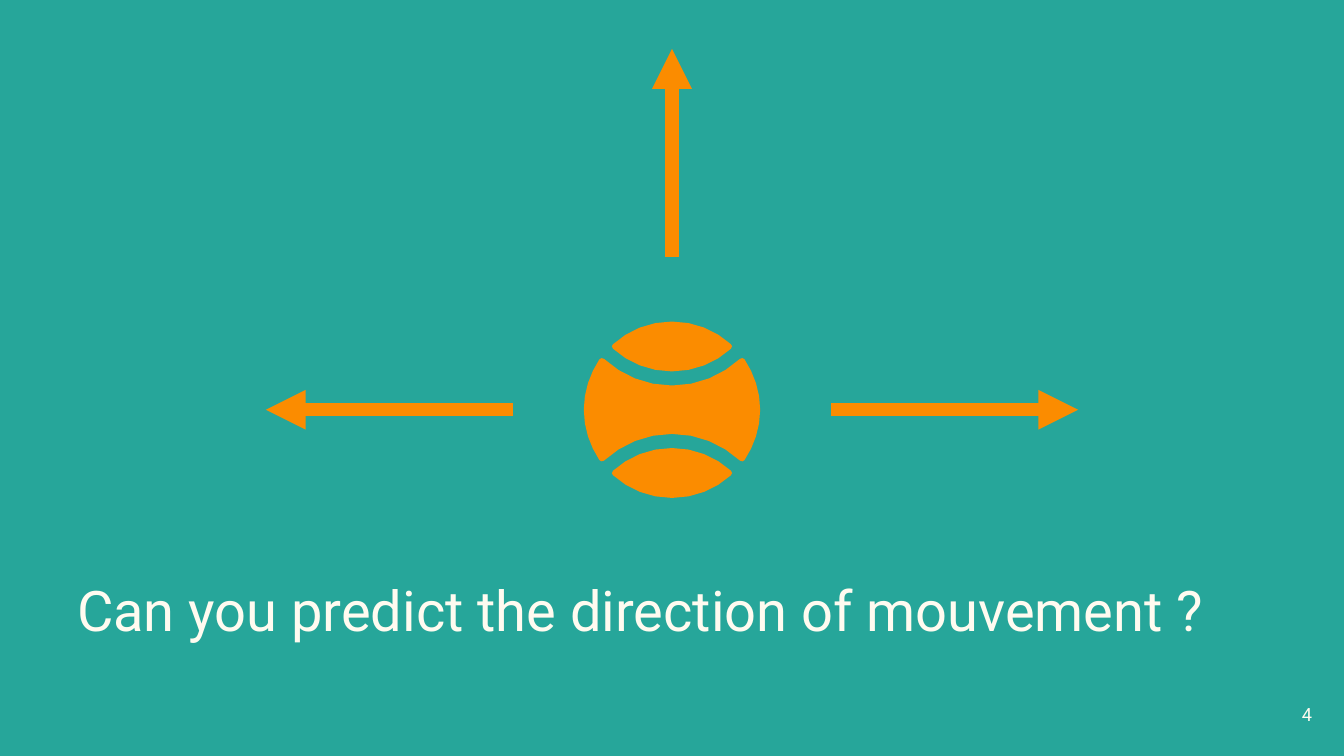
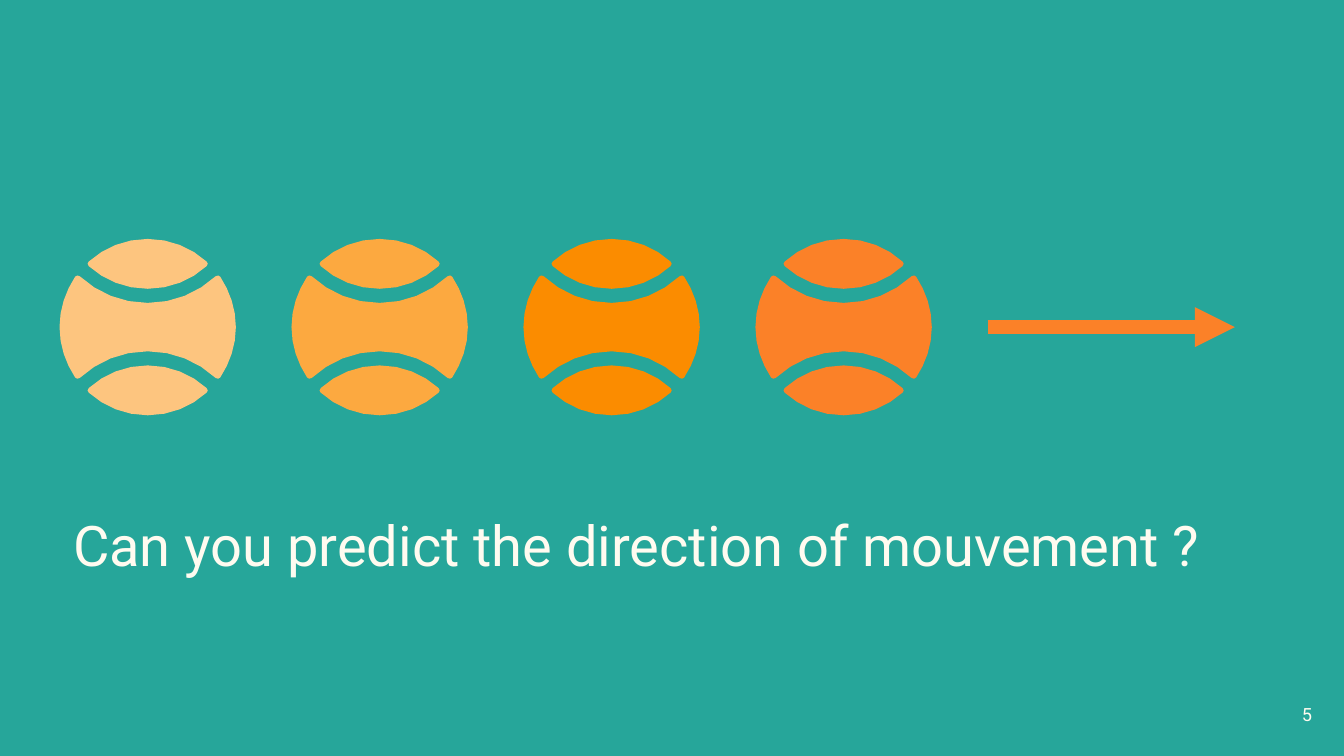
from dataclasses import dataclass
from math import dist

from lxml import etree
from pptx import Presentation
from pptx.dml.color import RGBColor
from pptx.enum.shapes import MSO_CONNECTOR
from pptx.enum.text import MSO_ANCHOR, MSO_AUTO_SIZE, PP_ALIGN
from pptx.oxml.ns import qn
from pptx.util import Inches, Pt

STRAIGHT = MSO_CONNECTOR.STRAIGHT
MIDDLE = MSO_ANCHOR.MIDDLE
NO_AUTOFIT = MSO_AUTO_SIZE.NONE
LEFT, RIGHT = PP_ALIGN.LEFT, PP_ALIGN.RIGHT


@dataclass(frozen=True)
class Theme:
    font: str = "Roboto"
    background: str = "26A69A"
    text: str = "FFFBF0"
    orange: str = "FB8C00"
    deep_orange: str = "FB8128"
    light_orange: str = "FCA940"
    pale_orange: str = "FDC57F"
    title_size: int = 80
    number_size: int = 26
    arrow_width: int = 19
    inset: float = 0.27


THEME = Theme()
SLIDE_WIDTH, SLIDE_HEIGHT = Inches(26.67), Inches(15)
TITLE_ONLY = 5
QUESTION = "Can you predict the direction of mouvement ?"
ARROW_LENGTH = 18.39
ARC_STEPS, CORNER_STEPS = 4, 2
CORNER_LIMIT = 0.2

# Ball outline in inches from its centre: a start point, then cubic curves.
CAP_START = (0, -1.75)
CAP_HALF = [
    ((-0.45, -1.75), (-0.86, -1.58), (-1.17, -1.3)),
    ((-1.2, -1.28), (-1.2, -1.24), (-1.17, -1.21)),
    ((-0.86, -0.93), (-0.45, -0.76), (0, -0.76)),
]
BAND_START = (0, -0.48)
BAND_QUARTER = [
    ((-0.52, -0.48), (-0.99, -0.68), (-1.35, -1.01)),
    ((-1.38, -1.03), (-1.42, -1.03), (-1.44, -1)),
    ((-1.63, -0.71), (-1.75, -0.37), (-1.75, 0)),
]


def across(percent):
    return round(SLIDE_WIDTH * percent / 100)


def down(percent):
    return round(SLIDE_HEIGHT * percent / 100)


def color(code):
    return RGBColor.from_string(code)


def flatten(start, curves):
    """Turn a chain of cubic curves into a short list of points."""
    points = [start]
    for first, second, end in curves:
        steps = CORNER_STEPS if dist(start, end) < CORNER_LIMIT else ARC_STEPS
        for step in range(1, steps + 1):
            t = step / steps
            u = 1 - t
            weights = (u ** 3, 3 * u * u * t, 3 * u * t * t, t ** 3)
            corners = (start, first, second, end)
            points.append(tuple(sum(weight * corner[axis]
                                    for weight, corner in zip(weights, corners))
                                for axis in (0, 1)))
        start = end
    return points


def flip(points, x_sign, y_sign):
    return [(x_sign * x, y_sign * y) for x, y in points]


def mirrored(points, x_sign, y_sign):
    """Extend an outline with its own reflection, walked backwards."""
    return points + flip(points, x_sign, y_sign)[-2::-1]


def ball_contours():
    cap = mirrored(flatten(CAP_START, CAP_HALF), -1, 1)
    band_half = mirrored(flatten(BAND_START, BAND_QUARTER), 1, -1)
    return [cap, mirrored(band_half, -1, 1), flip(cap, 1, -1)]


def add_ball(slide, x, y, fill):
    """Draw a ball centred at x and y, in percent of the slide."""
    contours = [[(across(x) + Inches(px), down(y) + Inches(py)) for px, py in contour]
                for contour in ball_contours()]
    builder = slide.shapes.build_freeform(*contours[0][0])
    for index, contour in enumerate(contours):
        if index:
            builder.move_to(*contour[0])
        builder.add_line_segments(contour[1:-1], close=True)
    ball = builder.convert_to_shape()
    ball.shadow.inherit = False
    ball.fill.solid()
    ball.fill.fore_color.rgb = color(fill)
    ball.line.fill.background()


def add_arrow(slide, start, end, line_color):
    arrow = slide.shapes.add_connector(
        STRAIGHT, across(start[0]), down(start[1]), across(end[0]), down(end[1]))
    arrow.line.color.rgb = color(line_color)
    arrow.line.width = Pt(THEME.arrow_width)
    properties = arrow._element.spPr
    etree.SubElement(properties.find(qn("a:ln")), qn("a:tailEnd"), type="triangle")
    etree.SubElement(properties, qn("a:effectLst"))


def write_text(shape, text, *, size, align=LEFT, wrap=True):
    frame = shape.text_frame
    frame.auto_size = NO_AUTOFIT
    frame.word_wrap = wrap
    frame.vertical_anchor = MIDDLE
    frame.margin_left = frame.margin_right = Inches(THEME.inset)
    frame.margin_top = frame.margin_bottom = Inches(THEME.inset)
    paragraph = frame.paragraphs[0]
    paragraph.alignment = align
    run = paragraph.add_run()
    run.text = text
    run.font.name = THEME.font
    run.font.size = Pt(size)
    run.font.color.rgb = color(THEME.text)


def add_question_slide(presentation, number, title_left, title_top):
    slide = presentation.slides.add_slide(presentation.slide_layouts[TITLE_ONLY])
    title = slide.shapes.title
    title.left, title.top = across(title_left), down(title_top)
    title.width, title.height = across(90.55), down(20.67)
    write_text(title, QUESTION, size=THEME.title_size)
    number_box = slide.shapes.add_textbox(
        across(95.91), down(91.13), across(2.74), down(6.73))
    write_text(number_box, str(number), size=THEME.number_size, align=RIGHT, wrap=False)
    return slide


def add_three_directions_slide(presentation):
    slide = add_question_slide(presentation, 4, 4.72, 70.27)
    x, y, gap = 50, 54.2, 11.83
    add_ball(slide, x, y, THEME.orange)
    for side in (1, -1):
        add_arrow(slide, (x + side * gap, y),
                  (x + side * (gap + ARROW_LENGTH), y), THEME.orange)
    add_arrow(slide, (x, 33.93), (x, 6.47), THEME.orange)


def add_ball_trail_slide(presentation):
    slide = add_question_slide(presentation, 5, 4.42, 61.67)
    first_x, pitch, y, gap = 10.99, 17.26, 43.27, 10.72
    trail = (THEME.pale_orange, THEME.light_orange, THEME.orange, THEME.deep_orange)
    for index, fill in enumerate(trail):
        add_ball(slide, first_x + index * pitch, y, fill)
    arrow_x = first_x + (len(trail) - 1) * pitch + gap
    add_arrow(slide, (arrow_x, y), (arrow_x + ARROW_LENGTH, y), trail[-1])


def main():
    presentation = Presentation()
    presentation.slide_width, presentation.slide_height = SLIDE_WIDTH, SLIDE_HEIGHT
    background = presentation.slide_master.background.fill
    background.solid()
    background.fore_color.rgb = color(THEME.background)
    add_three_directions_slide(presentation)
    add_ball_trail_slide(presentation)
    presentation.save("out.pptx")


if __name__ == "__main__":
    main()
